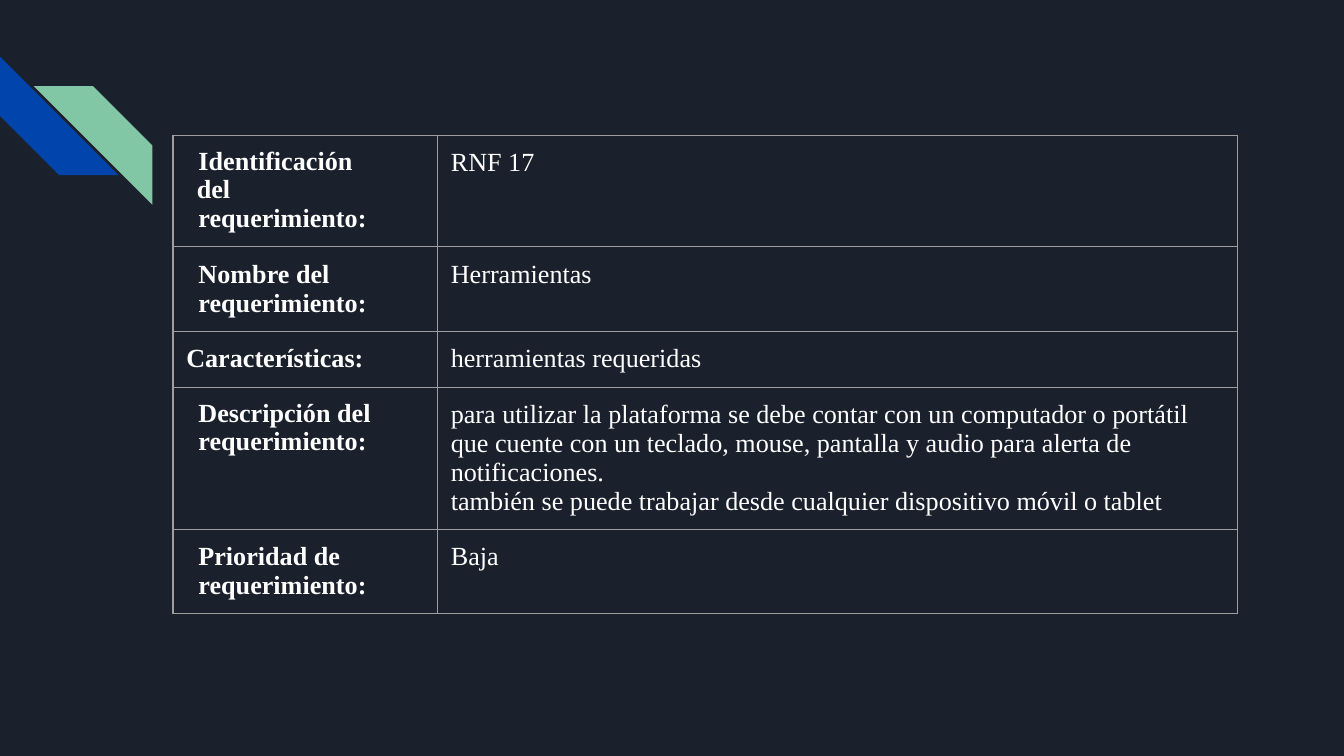
from lxml import etree
from pptx import Presentation
from pptx.dml.color import RGBColor
from pptx.enum.shapes import MSO_SHAPE
from pptx.oxml.ns import qn
from pptx.util import Cm, Pt

DIAGONAL_STRIPE = MSO_SHAPE.DIAGONAL_STRIPE

NIGHT = RGBColor(0x1B, 0x21, 0x2C)
BLUE = RGBColor(0x01, 0x45, 0xAC)
GREEN = RGBColor(0x82, 0xC7, 0xA5)
GREY = RGBColor(0x9E, 0x9E, 0x9E)
WHITE = RGBColor(0xFF, 0xFF, 0xFF)

STRIPE_SIZE = Cm(2.24)
COLUMN_WIDTHS = (Cm(5), Cm(15.11))
ROW_HEIGHT = Cm(1.06)
CELL_MARGIN = Cm(0.25)
BORDER_WIDTH = Pt(0.75)
TEXT_FORMAT = {"name": "Times New Roman", "size": Pt(14)}

INDENT = {"left": Cm(0.23)}
# Each row: label paragraphs with their layout, then the value paragraphs.
REQUIREMENT = [
    (
        [
            ("Identificación\vdel", {"left": Cm(0.2), "first": Cm(0.03), "line_spacing": 0.96}),
            ("requerimiento:", {**INDENT, "space_before": Pt(0.3)}),
        ],
        ["RNF 17"],
    ),
    ([("Nombre del", INDENT), ("requerimiento:", INDENT)], ["Herramientas"]),
    ([("Características:", {})], ["herramientas requeridas"]),
    (
        [("Descripción del requerimiento:", {**INDENT, "line_spacing": 0.96})],
        [
            "para utilizar la plataforma se debe contar con un computador o portátil "
            "que cuente con un teclado, mouse, pantalla y audio para alerta de notificaciones.",
            "también se puede trabajar desde cualquier dispositivo móvil o tablet",
        ],
    ),
    ([("Prioridad de", INDENT), ("requerimiento:", INDENT)], ["Baja"]),
]


def add_stripe(slide, left, top, rotation, color):
    shape = slide.shapes.add_shape(DIAGONAL_STRIPE, left, top, STRIPE_SIZE, STRIPE_SIZE)
    shape.shadow.inherit = False
    shape.rotation = rotation
    shape.fill.solid()
    shape.fill.fore_color.rgb = color
    shape.line.fill.background()


def set_borders(cell):
    properties = cell._tc.get_or_add_tcPr()
    for position, side in enumerate(("lnL", "lnR", "lnT", "lnB")):
        line = etree.Element(qn(f"a:{side}"), w=str(BORDER_WIDTH))
        fill = etree.SubElement(line, qn("a:solidFill"))
        etree.SubElement(fill, qn("a:srgbClr"), val=str(GREY))
        properties.insert(position, line)


def set_indent(paragraph, left=0, first=0):
    properties = paragraph._p.get_or_add_pPr()
    properties.set("marL", str(left))
    properties.set("indent", str(first))


def write_paragraph(paragraph, text, layout, bold):
    paragraph.text = text
    layout = dict(layout)
    set_indent(paragraph, layout.pop("left", 0), layout.pop("first", 0))
    for name, value in layout.items():
        setattr(paragraph, name, value)
    for run in paragraph.runs:
        for name, value in {**TEXT_FORMAT, "bold": bold}.items():
            setattr(run.font, name, value)
        run.font.color.rgb = WHITE


def fill_cell(cell, paragraphs, bold):
    for side in ("left", "right", "top", "bottom"):
        setattr(cell, f"margin_{side}", CELL_MARGIN)
    cell.fill.background()
    set_borders(cell)
    frame = cell.text_frame
    for index, (text, layout) in enumerate(paragraphs):
        paragraph = frame.add_paragraph() if index else frame.paragraphs[0]
        write_paragraph(paragraph, text, layout, bold)


def add_requirement_table(slide):
    table = slide.shapes.add_table(
        len(REQUIREMENT), len(COLUMN_WIDTHS), Cm(3.27), Cm(2.56),
        sum(COLUMN_WIDTHS), ROW_HEIGHT * len(REQUIREMENT),
    ).table
    table.first_row = False
    table.horz_banding = False
    for column, width in zip(table.columns, COLUMN_WIDTHS):
        column.width = width
    for row, (label, values) in zip(table.rows, REQUIREMENT):
        row.height = ROW_HEIGHT
        fill_cell(row.cells[0], label, True)
        fill_cell(row.cells[1], [(value, {}) for value in values], False)


def main():
    presentation = Presentation()
    presentation.slide_width = Cm(25.4)
    presentation.slide_height = Cm(14.29)
    slide = presentation.slides.add_slide(presentation.slide_layouts[6])
    slide.background.fill.solid()
    slide.background.fill.fore_color.rgb = NIGHT
    add_stripe(slide, Cm(0), Cm(1.07), 270, BLUE)
    add_stripe(slide, Cm(0.64), Cm(1.63), 90, GREEN)
    add_requirement_table(slide)
    presentation.save("out.pptx")


if __name__ == "__main__":
    main()
